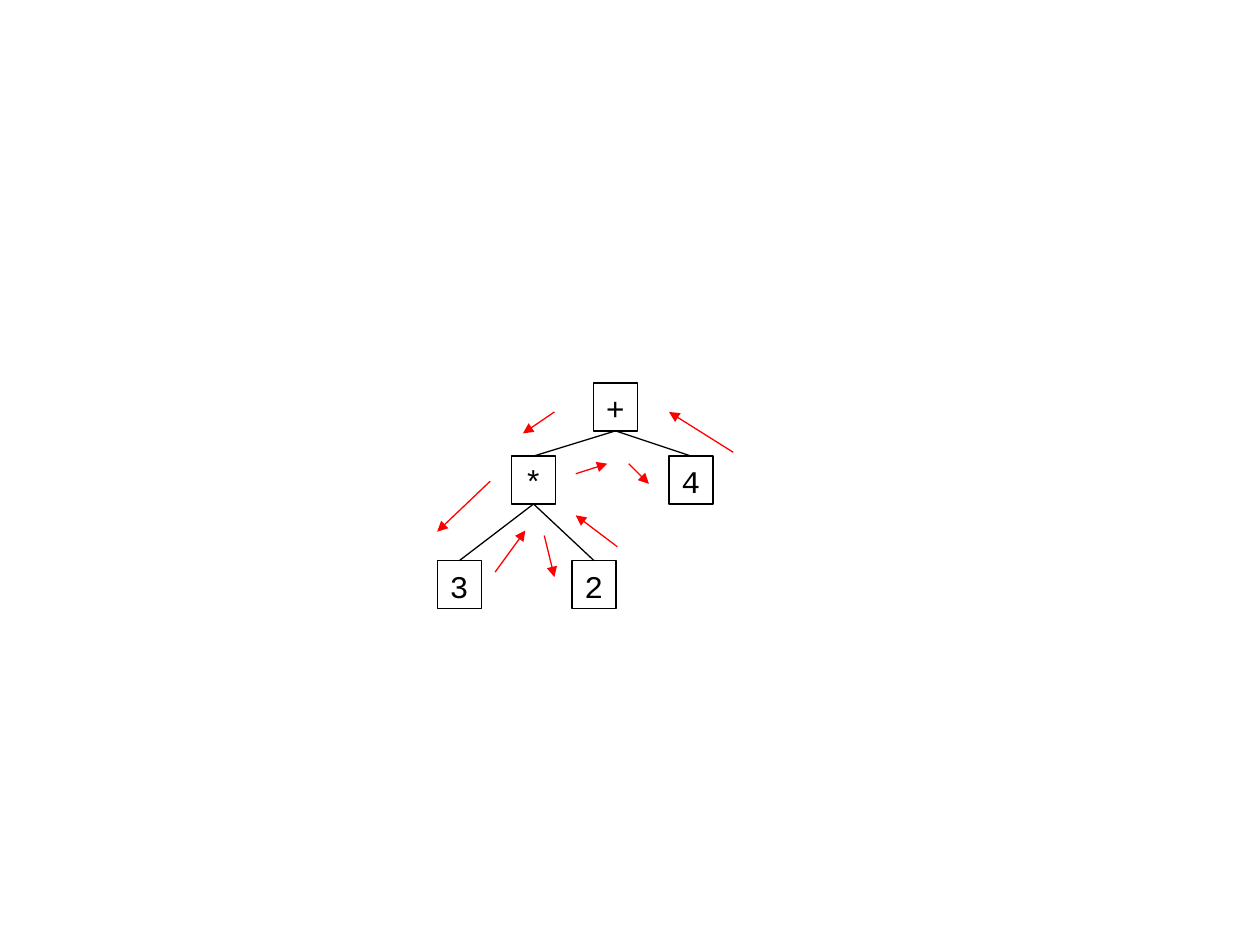
from dataclasses import dataclass

from lxml.etree import SubElement
from pptx import Presentation
from pptx.dml.color import RGBColor
from pptx.enum.shapes import MSO_CONNECTOR
from pptx.enum.text import MSO_AUTO_SIZE
from pptx.oxml.ns import qn
from pptx.util import Inches, Pt


@dataclass(frozen=True)
class Theme:
    ink: RGBColor = RGBColor(0, 0, 0)
    walk: RGBColor = RGBColor(255, 0, 0)
    font: str = "Courier New"
    text_size: float = 18
    line_width: float = 0.75


THEME = Theme()
NODE_WIDTH, NODE_HEIGHT = 0.35, 0.38

NODES = {
    "+": (1.24, 0),
    "*": (0.59, 0.58),
    "4": (1.84, 0.58),
    "2": (1.07, 1.41),
    "3": (0, 1.41),
}
BRANCHES = ["+4", "+*", "*2", "*3"]
WALK_STEPS = [
    ((0.93, 0.23), (0.68, 0.4)),
    ((2.35, 0.55), (1.84, 0.23)),
    ((0.46, 1.5), (0.7, 1.17)),
    ((0.85, 1.21), (0.93, 1.54)),
    ((1.43, 1.3), (1.1, 1.05)),
    ((1.1, 0.72), (1.35, 0.64)),
    ((1.52, 0.64), (1.68, 0.8)),
    ((0.42, 0.78), (0, 1.18)),
]


def add_line(shapes, left, top, start, end, color, arrow=False):
    line = shapes.add_connector(
        MSO_CONNECTOR.STRAIGHT,
        Inches(left + start[0]), Inches(top + start[1]),
        Inches(left + end[0]), Inches(top + end[1]),
    )
    line.line.color.rgb = color
    line.line.width = Pt(THEME.line_width)
    if arrow:
        SubElement(line.line._get_or_add_ln(), qn("a:tailEnd"), type="triangle")
    SubElement(line._element.spPr, qn("a:effectLst"))


def add_node(shapes, left, top, symbol):
    box = shapes.add_textbox(
        Inches(left), Inches(top), Inches(NODE_WIDTH), Inches(NODE_HEIGHT)
    )
    box.line.color.rgb = THEME.ink
    box.line.width = Pt(THEME.line_width)
    frame = box.text_frame
    frame.word_wrap = False
    frame.auto_size = MSO_AUTO_SIZE.SHAPE_TO_FIT_TEXT
    para = frame.paragraphs[0]
    para.text = symbol
    para.font.name = THEME.font
    para.font.size = Pt(THEME.text_size)
    para.font.color.rgb = THEME.ink


def add_tree(page, left, top):
    shapes = page.shapes.add_group_shape().shapes
    for symbol, (x, y) in NODES.items():
        add_node(shapes, left + x, top + y, symbol)
    middle = NODE_WIDTH / 2
    for parent, child in BRANCHES:
        (parent_x, parent_y), (child_x, child_y) = NODES[parent], NODES[child]
        start = (parent_x + middle, parent_y + NODE_HEIGHT)
        end = (child_x + middle, child_y)
        add_line(shapes, left, top, start, end, THEME.ink)


def add_walk(page, left, top):
    for start, end in WALK_STEPS:
        add_line(page.shapes, left, top, start, end, THEME.walk, arrow=True)


deck = Presentation()
deck.slide_width, deck.slide_height = Inches(10), Inches(7.5)
page = deck.slides.add_slide(deck.slide_layouts[6])
add_tree(page, 3.47, 3.04)
add_walk(page, 3.47, 3.04)
deck.save("out.pptx")
